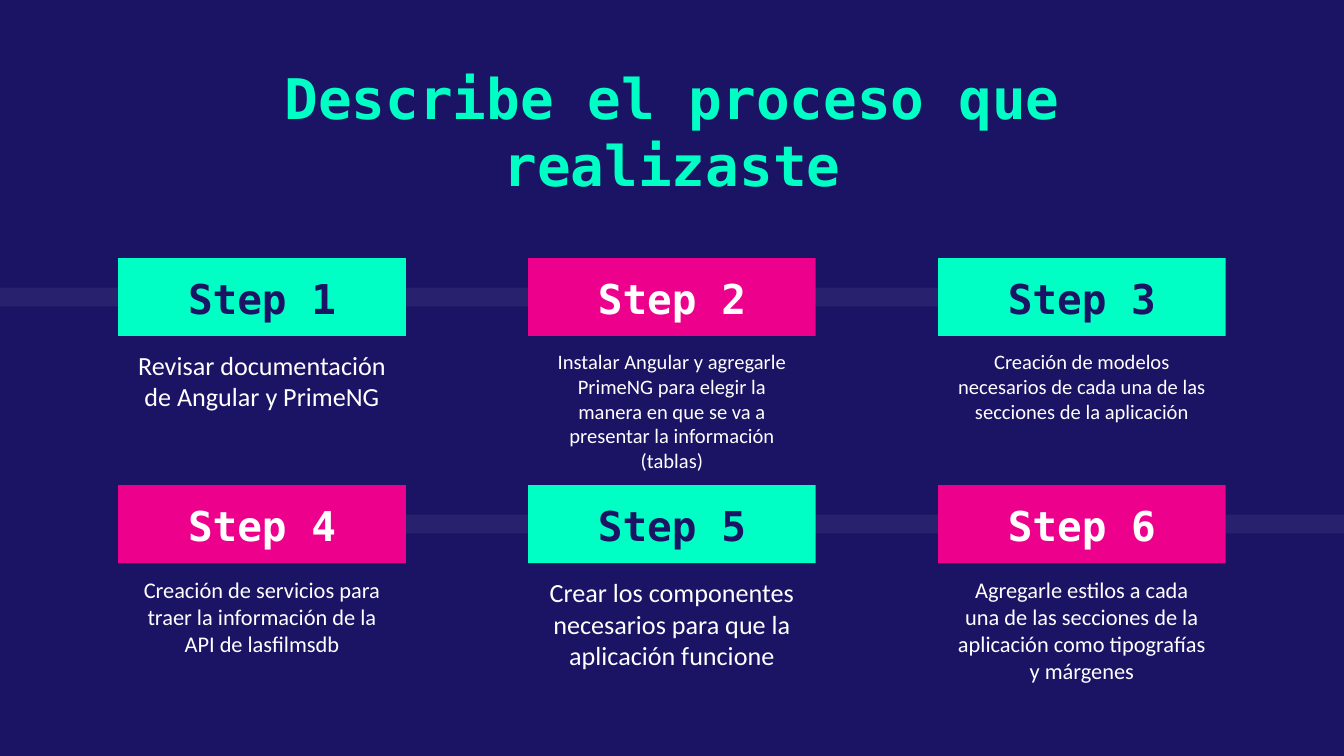
from lxml import etree
from pptx import Presentation
from pptx.dml.color import RGBColor
from pptx.enum import shapes, text
from pptx.oxml.ns import qn
from pptx.util import Inches, Pt

NAVY, MINT, PINK, WHITE = "1B1464", "00FFC5", "EC008C", "FFFFFF"
MONO, SANS = "DejaVu Sans Mono", "Calibri"

TITLE = "Describe el proceso que realizaste"
STEPS = [  # description, size in points, overlap of its box with the heading
    ("Revisar documentación de Angular y PrimeNG", 14, 0),
    ("Instalar Angular y agregarle PrimeNG para elegir la manera en que se va a "
     "presentar la información (tablas)", 11, 0),
    ("Creación de modelos necesarios de cada una de las secciones de la aplicación", 11, 0),
    ("Creación de servicios para traer la información de la API de lasfilmsdb", 12, 0),
    ("Crear los componentes necesarios para que la aplicación funcione", 14, 0.22),
    ("Agregarle estilos a cada una de las secciones de la aplicación como "
     "tipografías y márgenes", 12, 0),
]
BARS = [(0, 8.52), (1.02, 10)]  # left and right end of the bar behind each row

SLIDE_W = 10
SLIDE_H = SLIDE_W * 9 / 16
COLS = 3
LEFT, TOP = 0.88, 1.92
COL_STEP, ROW_STEP = 3.05, 1.69
HEAD_W, HEAD_H = 2.14, 0.58
BODY_W, BODY_H = 2.07, 0.73
BAR_DROP, BAR_H = 0.22, 0.14
INSET = 0.1


def color(hex_code):
    return RGBColor.from_string(hex_code)


def write(sp, words, size, font, ink, bold=False, anchor=text.MSO_ANCHOR.TOP, top=INSET):
    tf = sp.text_frame
    tf.word_wrap = True
    tf.auto_size = text.MSO_AUTO_SIZE.NONE
    tf.vertical_anchor = anchor
    tf.margin_left = tf.margin_right = tf.margin_bottom = Inches(INSET)
    tf.margin_top = Inches(top)
    p = tf.paragraphs[0]
    p.alignment = text.PP_ALIGN.CENTER
    r = p.add_run()
    r.text = words
    r.font.size, r.font.name, r.font.bold = Pt(size), font, bold
    r.font.color.rgb = color(ink)


def add_rect(s, x, y, w, h, fill):
    sp = s.shapes.add_shape(shapes.MSO_SHAPE.RECTANGLE, *map(Inches, (x, y, w, h)))
    sp.shadow.inherit = False
    sp.fill.solid()
    sp.fill.fore_color.rgb = color(fill)
    sp.line.fill.background()
    return sp


def set_opacity(sp, percent):
    rgb = sp._element.spPr.find(qn("a:solidFill")).find(qn("a:srgbClr"))
    etree.SubElement(rgb, qn("a:alpha")).set("val", str(percent * 1000))


prs = Presentation()
prs.slide_width, prs.slide_height = Inches(SLIDE_W), Inches(SLIDE_H)
s = prs.slides.add_slide(prs.slide_layouts[5])
s.background.fill.solid()
s.background.fill.fore_color.rgb = color(NAVY)

title = s.shapes.title
title.left, title.top, title.width, title.height = map(Inches, (1.4, 0.37, 7.2, 0.73))
write(title, TITLE, 30, MONO, MINT, bold=True)

for row, (start, end) in enumerate(BARS):
    bar = add_rect(s, start, TOP + row * ROW_STEP + BAR_DROP, end - start, BAR_H, WHITE)
    set_opacity(bar, 6)

for i, (words, size, overlap) in enumerate(STEPS):
    row, col = divmod(i, COLS)
    x, y = LEFT + col * COL_STEP, TOP + row * ROW_STEP
    fill, ink = (PINK, WHITE) if i % 2 else (MINT, NAVY)
    body = s.shapes.add_textbox(*map(Inches, (x + (HEAD_W - BODY_W) / 2,
                                              y + HEAD_H - overlap, BODY_W, BODY_H)))
    write(body, words, size, SANS, WHITE, top=INSET + overlap)
    head = add_rect(s, x, y, HEAD_W, HEAD_H, fill)
    write(head, f"Step {i + 1}", 22, MONO, ink, bold=True, anchor=text.MSO_ANCHOR.BOTTOM)

prs.save("out.pptx")
